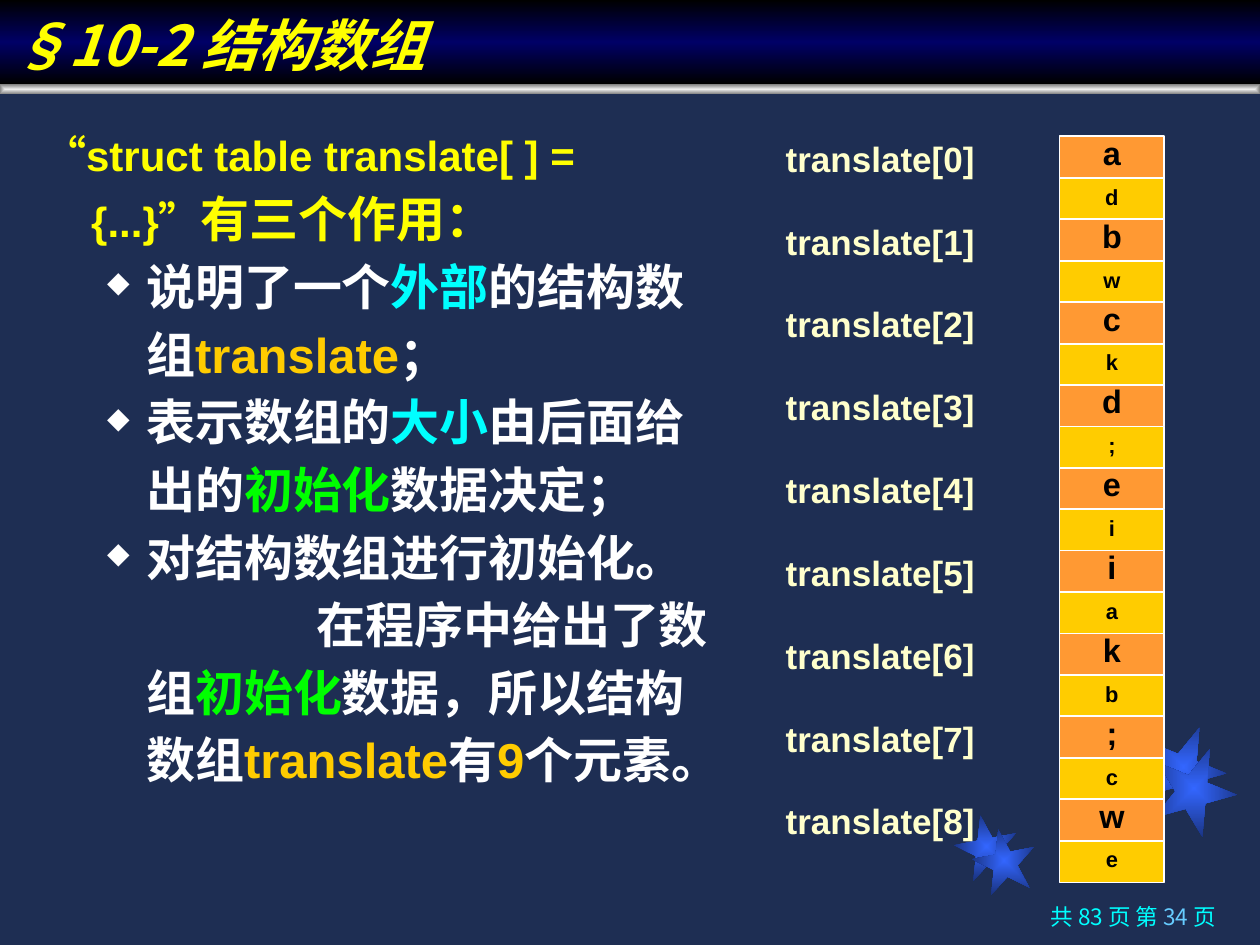
from lxml import etree
from pptx import Presentation
from pptx.dml.color import RGBColor
from pptx.enum.shapes import MSO_SHAPE
from pptx.enum.text import MSO_ANCHOR, MSO_AUTO_SIZE, PP_ALIGN
from pptx.oxml.ns import qn
from pptx.util import Cm, Pt

RECTANGLE, STAR = MSO_SHAPE.RECTANGLE, MSO_SHAPE.STAR_5_POINT
TOP, MIDDLE, BOTTOM = MSO_ANCHOR.TOP, MSO_ANCHOR.MIDDLE, MSO_ANCHOR.BOTTOM
LEFT, CENTER, RIGHT = PP_ALIGN.LEFT, PP_ALIGN.CENTER, PP_ALIGN.RIGHT
LATIN, CHINESE = "Arial", "Noto Sans CJK SC"
NAVY, WHITE, BLACK, YELLOW = "1E2E53", "FFFFFF", "000000", "FFFF00"
CYAN, GREEN, GOLD, SKY, CREAM = "00FFFF", "00FF00", "FFCC00", "66CCFF", "FFFFCC"
ORANGE = "FF9933"

TITLE = "§10-2 结构数组"
LEAD = [("“struct table translate[ ] = {...}”", YELLOW, 24), ("有三个作用：", YELLOW, 28)]
EFFECTS = [
    [("说明了一个", WHITE), ("外部", CYAN), ("的结构数组", WHITE),
     ("translate", GOLD), ("；", WHITE)],
    [("表示数组的", WHITE), ("大小", CYAN), ("由后面给出的", WHITE),
     ("初始化", GREEN), ("数据决定；", WHITE)],
    [("对结构数组进行初始化。", WHITE)],
]
CONCLUSION = [("在程序中给出了数组", WHITE), ("初始化", GREEN), ("数据，所以结构数组", WHITE),
              ("translate", GOLD), ("有", WHITE), ("9", GOLD), ("个元素。", WHITE)]
PAGE = [("共 83 页 第 ", CYAN), ("34 ", SKY), ("页", CYAN)]
TRANSLATIONS = [("a", "d"), ("b", "w"), ("c", "k"), ("d", ";"), ("e", "i"),
                ("i", "a"), ("k", "b"), (";", "c"), ("w", "e")]
STARS = [(19.25, 16.43, 1.27, 349), (23.01, 14.61, 1.7, 22),
         (19.61, 16.71, 1.27, 349), (23.22, 15.04, 1.7, 22)]

COLUMN_LEFT, COLUMN_TOP, PAIR_PITCH = 21.36, 2.75, 1.67
CELL_WIDTH, CELL_HEIGHT = 2.11, 0.84
LABEL_LEFT = 16.69


def color(value):
    """Turn a hex string into a colour."""
    return RGBColor.from_string(value)


def fill_gradient(shape, stops, centred=True):
    """Fill a shape from its centre outwards, or from top to bottom."""
    shape.fill.background()
    properties = shape.element.spPr
    gradient = etree.Element(qn("a:gradFill"), rotWithShape="1")
    stop_list = etree.SubElement(gradient, qn("a:gsLst"))
    for position, value in stops:
        stop = etree.SubElement(stop_list, qn("a:gs"), pos=str(position * 1000))
        etree.SubElement(stop, qn("a:srgbClr"), val=value)
    if centred:
        spread = etree.SubElement(gradient, qn("a:path"), path="rect")
        sides = dict.fromkeys("ltrb", "50000")
        etree.SubElement(spread, qn("a:fillToRect"), sides)
    else:
        etree.SubElement(gradient, qn("a:lin"), ang="5400000", scaled="0")
    properties.replace(properties.find(qn("a:noFill")), gradient)


def add_plain(slide, kind, left, top, width, height):
    """Add a preset shape without shadow or outline."""
    shape = slide.shapes.add_shape(kind, Cm(left), Cm(top), Cm(width), Cm(height))
    shape.shadow.inherit = False
    shape.line.fill.background()
    return shape


def set_frame(shape, anchor, wrap=True):
    """Set the layout of a shape's text and return its first paragraph."""
    frame = shape.text_frame
    frame.auto_size = MSO_AUTO_SIZE.NONE
    frame.word_wrap = wrap
    frame.vertical_anchor = anchor
    return frame.paragraphs[0]


def write(paragraph, runs, size, align=LEFT, spacing=1.0, latin=LATIN, bold=True, italic=False):
    """Write coloured runs with one font for the paragraph."""
    paragraph.alignment = align
    paragraph.line_spacing = spacing
    font = paragraph.font
    font.name, font.size, font.bold, font.italic = latin, Pt(size), bold, italic
    defaults = paragraph._p.pPr.find(qn("a:defRPr"))
    etree.SubElement(defaults, qn("a:ea"), typeface=CHINESE)
    for text, value, *own_size in runs:
        run = paragraph.add_run()
        run.text = text
        run.font.color.rgb = color(value)
        if own_size:
            run.font.size = Pt(own_size[0])


def indent(paragraph, margin, first, bullet=False):
    """Set the indents of a paragraph and its diamond bullet."""
    properties = paragraph._p.get_or_add_pPr()
    properties.set("marL", str(Cm(margin)))
    properties.set("indent", str(Cm(first)))
    if bullet:
        bullet_color = etree.SubElement(properties, qn("a:buClr"))
        etree.SubElement(bullet_color, qn("a:srgbClr"), val=WHITE)
        etree.SubElement(properties, qn("a:buSzPct"), val="60000")
        etree.SubElement(properties, qn("a:buChar"), char="◆")


def add_header(slide):
    """Place the title band and the bar below it."""
    bar = add_plain(slide, RECTANGLE, 0, 1.7, 25.4, 0.2)
    fill_gradient(bar, [(0, "EDEDED"), (100, "808080")])
    title = slide.shapes.title
    title.left, title.top, title.width, title.height = Cm(0), Cm(0), Cm(25.4), Cm(1.7)
    fill_gradient(title, [(0, BLACK), (50, "000066"), (100, BLACK)], centred=False)
    write(set_frame(title, BOTTOM), [(TITLE, YELLOW)], 32, latin=CHINESE, italic=True)


def add_explanation(slide):
    """Write the explanation on the left."""
    body = slide.shapes.add_textbox(Cm(0.64), Cm(2.34), Cm(14.07), Cm(15.88))
    lead = set_frame(body, TOP)
    indent(lead, 0.95, -0.95)
    write(lead, LEAD, 28, spacing=1.15)
    for effect in EFFECTS:
        item = body.text_frame.add_paragraph()
        indent(item, 2.06, -0.79, bullet=True)
        write(item, effect, 28, spacing=1.15)
    conclusion = body.text_frame.add_paragraph()
    indent(conclusion, 2.06, 3.43)
    write(conclusion, CONCLUSION, 28, spacing=1.15)


def add_array(slide):
    """Draw the array elements with their labels."""
    for index, (source, target) in enumerate(TRANSLATIONS):
        top = COLUMN_TOP + index * PAIR_PITCH
        members = [(source, ORANGE, 18.5, 0.7, top),
                   (target, GOLD, 12.5, 0.8, top + CELL_HEIGHT)]
        for letter, fill, size, spacing, cell_top in members:
            cell = add_plain(slide, RECTANGLE, COLUMN_LEFT, cell_top, CELL_WIDTH, CELL_HEIGHT)
            cell.fill.solid()
            cell.fill.fore_color.rgb = color(fill)
            cell.line.color.rgb = color(WHITE)
            cell.line.width = Pt(1)
            write(set_frame(cell, MIDDLE), [(letter, BLACK)], size, CENTER, spacing)
        label = slide.shapes.add_textbox(
            Cm(LABEL_LEFT), Cm(top + 0.02), Cm(CELL_WIDTH), Cm(CELL_HEIGHT))
        write(set_frame(label, MIDDLE, wrap=False),
              [(f"translate[{index}]", CREAM)], 20, CENTER)


def main():
    """Build the slide on an array of structures."""
    deck = Presentation()
    deck.slide_width, deck.slide_height = Cm(25.4), Cm(19.05)
    slide = deck.slides.add_slide(deck.slide_layouts[5])
    slide.background.fill.solid()
    slide.background.fill.fore_color.rgb = color(NAVY)
    for left, top, size, rotation in STARS:
        star = add_plain(slide, STAR, left, top, size, size)
        star.rotation = rotation
        fill_gradient(star, [(0, "3366FF"), (100, "182F76")])
    add_header(slide)
    add_explanation(slide)
    add_array(slide)
    page = slide.shapes.add_textbox(Cm(18.08), Cm(18.14), Cm(6.68), Cm(0.91))
    write(set_frame(page, TOP), PAGE, 12.9, RIGHT, 0.9, CHINESE, bold=False)
    deck.save("out.pptx")


if __name__ == "__main__":
    main()
